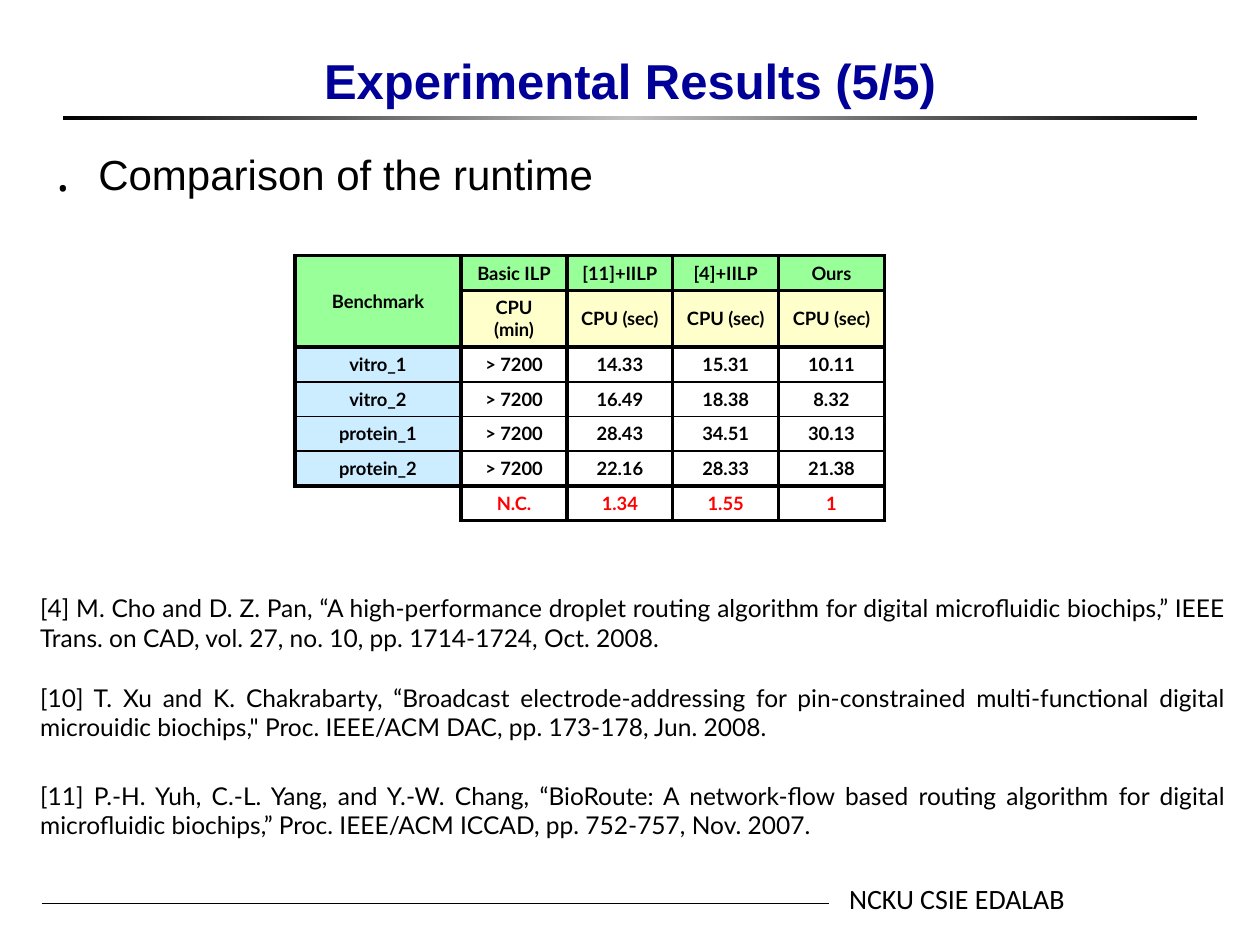
from copy import deepcopy

from lxml.etree import SubElement
from pptx import Presentation
from pptx.dml.color import RGBColor
from pptx.enum.dml import MSO_LINE
from pptx.enum.shapes import MSO_CONNECTOR, MSO_SHAPE
from pptx.enum.text import MSO_ANCHOR, MSO_AUTO_SIZE, PP_ALIGN
from pptx.oxml.ns import qn
from pptx.util import Inches, Pt

BLACK = RGBColor(0x00, 0x00, 0x00)
SILVER = RGBColor(0xC0, 0xC0, 0xC0)
NAVY = RGBColor(0x00, 0x00, 0x99)
RED = RGBColor(0xFF, 0x00, 0x00)
GREEN = RGBColor(0x99, 0xFF, 0x99)
YELLOW = RGBColor(0xFF, 0xFF, 0xCC)
BLUE = RGBColor(0xCC, 0xEC, 0xFF)

THICK, THIN = 2.25, 1
RUNTIMES = [
    ["Benchmark", "Basic ILP", "[11]+IILP", "[4]+IILP", "Ours"],
    ["", "CPU (min)", "CPU (sec)", "CPU (sec)", "CPU (sec)"],
    ["vitro_1", "> 7200", "14.33", "15.31", "10.11"],
    ["vitro_2", "> 7200", "16.49", "18.38", "8.32"],
    ["protein_1", "> 7200", "28.43", "34.51", "30.13"],
    ["protein_2", "> 7200", "22.16", "28.33", "21.38"],
    ["", "N.C.", "1.34", "1.55", "1"],
]
RULE_WIDTHS = [THICK, THICK, THICK, THIN, THIN, THIN, THICK, THICK]
COLUMN_WIDTHS = [1.32, 0.84, 0.84, 0.84, 0.84]
ROW_HEIGHT = 0.24
REFERENCES = [
    (4.66, "[4] M. Cho and D. Z. Pan, “A high-performance droplet routing algorithm "
     "for digital microfluidic biochips,” IEEE Trans. on CAD, vol. 27, no. 10, "
     "pp. 1714-1724, Oct. 2008."),
    (5.37, "[10] T. Xu and K. Chakrabarty, “Broadcast electrode-addressing for "
     "pin-constrained multi-functional digital microuidic biochips,\" Proc. IEEE/ACM "
     "DAC, pp. 173-178, Jun. 2008."),
    (6.15, "[11] P.-H. Yuh, C.-L. Yang, and Y.-W. Chang, “BioRoute: A network-flow "
     "based routing algorithm for digital microfluidic biochips,” Proc. IEEE/ACM "
     "ICCAD, pp. 752-757, Nov. 2007."),
]


def place(shape, box):
    """Move a shape to a box of left, top, width and height in inches."""
    shape.left, shape.top, shape.width, shape.height = map(Inches, box)


def add_run(paragraph, text, font, size, color=BLACK, bold=False):
    """Add one formatted run to a paragraph."""
    run = paragraph.add_run()
    run.text = text
    run.font.name = font
    run.font.size = Pt(size)
    run.font.bold = bold
    run.font.color.rgb = color


def add_text(slide, box, text, font, size, alignment=PP_ALIGN.LEFT):
    """Add a wrapping text box with one paragraph."""
    frame = slide.shapes.add_textbox(*map(Inches, box)).text_frame
    frame.word_wrap = True
    frame.auto_size = MSO_AUTO_SIZE.SHAPE_TO_FIT_TEXT
    frame.paragraphs[0].alignment = alignment
    add_run(frame.paragraphs[0], text, font, size)


def add_title(slide, box):
    """Fill the title placeholder."""
    title = slide.shapes.title
    place(title, box)
    title.text_frame.vertical_anchor = MSO_ANCHOR.BOTTOM
    paragraph = title.text_frame.paragraphs[0]
    paragraph.alignment = PP_ALIGN.CENTER
    add_run(paragraph, "Experimental Results (5/5)", "Arial", 28, NAVY, True)


def add_title_rule(slide, box):
    """Draw the bar under the title, black fading to silver at the centre."""
    bar = slide.shapes.add_shape(MSO_SHAPE.RECTANGLE, *map(Inches, box))
    bar.shadow.inherit = False
    bar.line.fill.background()
    bar.fill.gradient()
    bar.fill.gradient_angle = 0
    stop_list = next(bar._element.iter(qn("a:gsLst")))
    stop_list.append(deepcopy(stop_list[0]))
    for stop, position, color in zip(
        bar.fill.gradient_stops, (0, 0.5, 1), (BLACK, SILVER, BLACK)
    ):
        stop.position = position
        stop.color.rgb = color


def add_body(slide, box):
    """Fill the body placeholder with its single bullet."""
    body = slide.placeholders[1]
    place(body, box)
    paragraph = body.text_frame.paragraphs[0]
    paragraph.line_spacing = 0.9
    paragraph.space_before = Pt(4.8)
    add_run(paragraph, "Comparison of the runtime", "Arial", 24)
    properties = paragraph._p.get_or_add_pPr()
    properties.set("marL", str(Inches(0.38)))
    properties.set("indent", str(Inches(-0.38)))
    bullet_color = SubElement(properties, qn("a:buClr"))
    SubElement(bullet_color, qn("a:srgbClr"), val=str(BLACK))
    SubElement(properties, qn("a:buSzPct"), val="120000")
    SubElement(properties, qn("a:buChar"), char="․")


def set_border(cell, side, width):
    """Draw one cell side, or hide it when the width is zero."""
    line = SubElement(cell._tc.get_or_add_tcPr(), qn(f"a:ln{side}"), w=str(Pt(width)))
    if width:
        fill = SubElement(line, qn("a:solidFill"))
        SubElement(fill, qn("a:srgbClr"), val=str(BLACK))
    else:
        SubElement(line, qn("a:noFill"))


def cell_fill(row, column):
    """Return the fill colour of a table cell, or None."""
    if row == 0 or (row == 1 and column == 0):
        return GREEN
    if row == 1:
        return YELLOW
    return BLUE if column == 0 and row < 6 else None


def format_cell(cell, row, column, text):
    """Write one runtime cell with its borders and fill."""
    is_corner = row == 6 and column == 0
    outer = 0 if is_corner else THICK
    bottom = 0 if is_corner else RULE_WIDTHS[row + 1]
    for side, width in zip("LRTB", (outer, THICK, RULE_WIDTHS[row], bottom)):
        set_border(cell, side, width)
    color = cell_fill(row, column)
    if color is None:
        cell.fill.background()
    else:
        cell.fill.solid()
        cell.fill.fore_color.rgb = color
    cell.vertical_anchor = MSO_ANCHOR.MIDDLE
    if column == 0 and 2 <= row <= 5:
        cell.margin_left = cell.margin_right = Inches(0.07)
        cell.margin_top = cell.margin_bottom = 0
    paragraph = cell.text_frame.paragraphs[0]
    paragraph.alignment = PP_ALIGN.CENTER
    if text:
        add_run(paragraph, text, "Lato", 10.5, RED if row == 6 else BLACK, True)
    else:
        SubElement(paragraph._p, qn("a:endParaRPr"), sz="1050")


def add_runtime_table(slide, left, top):
    """Add the runtime comparison table."""
    table = slide.shapes.add_table(
        len(RUNTIMES), len(COLUMN_WIDTHS), Inches(left), Inches(top),
        Inches(sum(COLUMN_WIDTHS)), Inches(ROW_HEIGHT * len(RUNTIMES)),
    ).table
    table.first_row = table.horz_banding = False
    for column, width in zip(table.columns, COLUMN_WIDTHS):
        column.width = Inches(width)
    for row, texts in enumerate(RUNTIMES):
        table.rows[row].height = Inches(ROW_HEIGHT)
        for column, text in enumerate(texts):
            format_cell(table.cell(row, column), row, column, text)
    table.cell(0, 0).merge(table.cell(1, 0))


def add_references(slide, left, width):
    """Add the cited papers below the table."""
    for top, text in REFERENCES:
        add_text(slide, (left, top, width, 0.57), text, "Lato", 14, PP_ALIGN.JUSTIFY)


def add_footer(slide, left, middle):
    """Add the footer line and the laboratory name."""
    line = slide.shapes.add_connector(
        MSO_CONNECTOR.STRAIGHT, Inches(left), Inches(middle),
        Inches(left + 6.25), Inches(middle),
    )
    line.line.color.rgb = BLACK
    line.line.width = Pt(0.5)
    line.line.dash_style = MSO_LINE.SOLID
    SubElement(line._element.spPr, qn("a:effectLst"))
    add_text(slide, (left + 6.31, middle - 0.22, 2.19, 0.37),
             "NCKU CSIE EDALAB", "Calibri", 16)


def main():
    """Build and save the slide."""
    presentation = Presentation()
    presentation.slide_width, presentation.slide_height = Inches(10), Inches(7.5)
    slide = presentation.slides.add_slide(presentation.slide_layouts[1])
    add_title_rule(slide, (0.5, 0.92, 9, 0.03))
    add_footer(slide, 0.33, 7.17)
    add_title(slide, (0.75, 0, 8.5, 0.92))
    add_body(slide, (0.3, 1.17, 8.92, 5.61))
    add_runtime_table(slide, 2.34, 2.03)
    add_references(slide, 0.22, 9.61)
    presentation.save("out.pptx")


if __name__ == "__main__":
    main()
